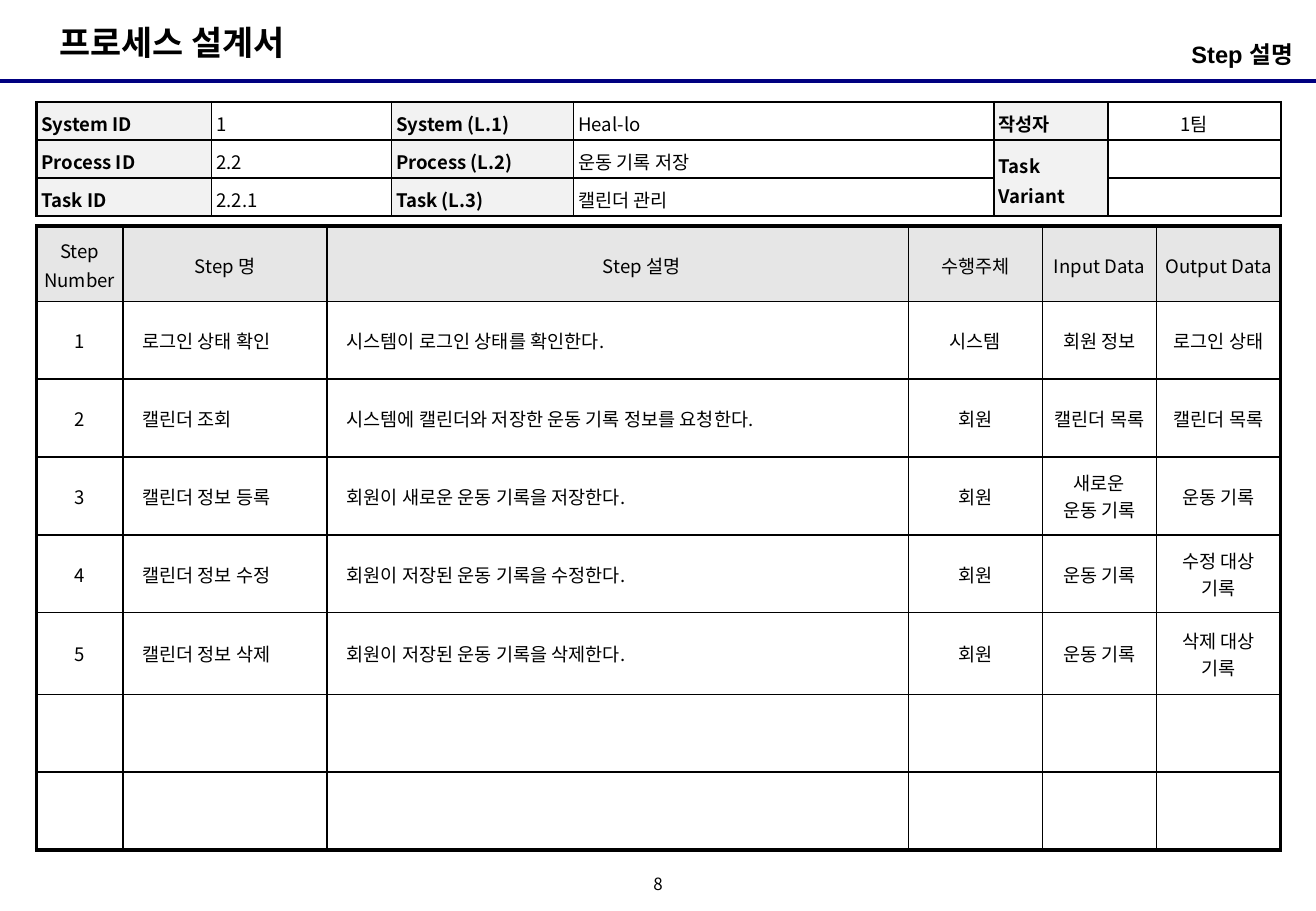
from lxml.etree import SubElement
from pptx import Presentation
from pptx.dml.color import RGBColor
from pptx.enum.shapes import MSO_CONNECTOR
from pptx.enum.text import MSO_ANCHOR as Anchor, PP_ALIGN as Align
from pptx.oxml.ns import qn
from pptx.util import Inches, Pt

BLACK = RGBColor(0x00, 0x00, 0x00)
NAVY = RGBColor(0x00, 0x00, 0x80)
LABEL_GREY = RGBColor(0xF2, 0xF2, 0xF2)
HEADER_GREY = RGBColor(0xE6, 0xE6, 0xE6)
KOREAN = "Noto Sans CJK KR"
WIDTH, HEIGHT = 10.83, 7.5
THIN = 1

SUMMARY_COLUMNS = [1.44, 1.48, 1.5, 3.46, 0.94, 1.42]
SUMMARY_ROWS = [1, 1, 1]
SUMMARY = [
    ["System ID", "1", "System (L.1)", "Heal-lo", "작성자", "1팀"],
    ["Process ID", "2.2", "Process (L.2)", "운동 기록 저장", "Task Variant", ""],
    ["Task ID", "2.2.1", "Task (L.3)", "캘린더 관리", "", ""],
]
STEP_COLUMNS = [0.71, 1.68, 4.78, 1.1, 0.94, 1.02]
STEP_ROWS = [0.62, 0.64, 0.64, 0.64, 0.64, 0.67, 0.64, 0.64]
STEPS = [
    ["Step Number", "Step 명", "Step 설명", "수행주체", "Input Data", "Output Data"],
    ["1", "로그인 상태 확인", "시스템이 로그인 상태를 확인한다.", "시스템", "회원 정보", "로그인 상태"],
    ["2", "캘린더 조회", "시스템에 캘린더와 저장한 운동 기록 정보를 요청한다.", "회원",
     "캘린더 목록", "캘린더 목록"],
    ["3", "캘린더 정보 등록", "회원이 새로운 운동 기록을 저장한다.", "회원",
     "새로운\n운동 기록", "운동 기록"],
    ["4", "캘린더 정보 수정", "회원이 저장된 운동 기록을 수정한다.", "회원",
     "운동 기록", "수정 대상 기록"],
    ["5", "캘린더 정보 삭제", "회원이 저장된 운동 기록을 삭제한다.", "회원",
     "운동 기록", "삭제 대상 기록"],
    [""] * 6,
    [""] * 6,
]


def format_text(text_frame, size, bold=False, align=Align.LEFT, spacing=1.0,
                indent=0, latin=KOREAN):
    """Format every paragraph and run of a text frame."""
    for paragraph in text_frame.paragraphs:
        properties = paragraph._p.get_or_add_pPr()
        properties.set("marL", str(Inches(indent)))
        properties.set("indent", "0")
        paragraph.alignment = align
        paragraph.line_spacing = spacing
        for run in paragraph.runs:
            run.font.size = Pt(size)
            run.font.bold = bold
            run.font.color.rgb = BLACK
            run.font.name = latin
            SubElement(run.font._element, qn("a:ea"), typeface=KOREAN)
        if not paragraph.runs:
            SubElement(paragraph._p, qn("a:endParaRPr"), sz=str(size * 100))


def add_label(slide, box, text, size, margins=(0.1, 0.05), anchor=Anchor.TOP,
              wrap=False, **style):
    """Add a text box with one formatted text."""
    text_frame = slide.shapes.add_textbox(*map(Inches, box)).text_frame
    text_frame.word_wrap = wrap
    text_frame.vertical_anchor = anchor
    text_frame.margin_left = text_frame.margin_right = Inches(margins[0])
    text_frame.margin_top = text_frame.margin_bottom = Inches(margins[1])
    text_frame.text = text
    format_text(text_frame, size, **style)


def set_borders(cell, **widths):
    """Draw the four black cell borders with widths in points."""
    properties = cell._tc.get_or_add_tcPr()
    for side in "LRTB":
        line = SubElement(properties, qn(f"a:ln{side}"), w=str(Pt(widths[side])))
        fill = SubElement(line, qn("a:solidFill"))
        SubElement(fill, qn("a:srgbClr"), val=str(BLACK))


def add_grid(slide, box, columns, rows, texts, outer, margins):
    """Add a framed table whose columns and rows share out the box."""
    left, top, width, height = box
    table = slide.shapes.add_table(len(rows), len(columns), *map(Inches, box)).table
    table.first_row = table.horz_banding = False
    for column, share in zip(table.columns, columns):
        column.width = Inches(width * share / sum(columns))
    for row, share in zip(table.rows, rows):
        row.height = Inches(height * share / sum(rows))
    for row, row_texts in enumerate(texts):
        for column, text in enumerate(row_texts):
            cell = table.cell(row, column)
            cell.text_frame.text = text
            cell.margin_left = cell.margin_right = Inches(margins[0])
            cell.margin_top = cell.margin_bottom = Inches(margins[1])
            author_rule = len(rows) == len(SUMMARY) and column >= 4
            set_borders(
                cell,
                L=outer if column == 0 else THIN,
                R=outer if column == len(columns) - 1 else THIN,
                T=outer if row == 0 or author_rule and row == 1 else THIN,
                B=outer if row == len(rows) - 1 or author_rule and row == 0 else THIN,
            )
            cell.fill.background()
    return table


def paint(cell, color):
    """Fill a cell with one colour."""
    cell.fill.solid()
    cell.fill.fore_color.rgb = color


def add_summary(slide, box):
    """Add the table of system, process and task identifiers."""
    table = add_grid(slide, box, SUMMARY_COLUMNS, SUMMARY_ROWS, SUMMARY, 1.5, (0.04, 0.03))
    for row in range(len(SUMMARY)):
        for column in range(len(SUMMARY_COLUMNS)):
            cell = table.cell(row, column)
            is_label = column % 2 == 0
            cell.vertical_anchor = Anchor.MIDDLE if column >= 4 else Anchor.TOP
            cell.margin_top = Inches(0.04)
            format_text(cell.text_frame, 11, bold=is_label, spacing=1.1,
                        align=Align.CENTER if column == 5 else Align.LEFT)
            if is_label:
                paint(cell, LABEL_GREY)
    table.cell(1, 4).merge(table.cell(2, 4))


def add_steps(slide, box):
    """Add the table that describes each step."""
    table = add_grid(slide, box, STEP_COLUMNS, STEP_ROWS, STEPS, 2.25, (0.06, 0.04))
    for row in range(len(STEPS)):
        for column in range(len(STEP_COLUMNS)):
            cell = table.cell(row, column)
            cell.vertical_anchor = Anchor.MIDDLE
            if row == 0:
                format_text(cell.text_frame, 11, align=Align.CENTER, spacing=1.1,
                            indent=0.39 if column == 2 else 0)
                paint(cell, HEADER_GREY)
            elif column in (1, 2):
                format_text(cell.text_frame, 11, indent=0.1)
            else:
                format_text(cell.text_frame, 11, align=Align.CENTER)


def add_heading(slide, box):
    """Add the document title, the section name and the rule below them."""
    left, top, width, height = box
    bottom = top + height
    rule = slide.shapes.add_connector(
        MSO_CONNECTOR.STRAIGHT, *map(Inches, (left, bottom, left + width, bottom)))
    rule.line.color.rgb = NAVY
    rule.line.width = Pt(2.25)
    SubElement(rule._element.spPr, qn("a:effectLst"))
    add_label(slide, (left + 0.39, top + 0.13, 2.26, 0.44), "프로세스 설계서", 20, bold=True)
    add_label(slide, (left + width - 3.44, bottom - 0.39, 3.25, 0.39), "Step 설명", 14,
              margins=(0, 0.05), wrap=True, bold=True, align=Align.RIGHT, latin="Arial")


def main():
    """Build and save the step description slide."""
    presentation = Presentation()
    presentation.slide_width = Inches(WIDTH)
    presentation.slide_height = Inches(HEIGHT)
    slide = presentation.slides.add_slide(presentation.slide_layouts[6])
    add_heading(slide, (0, 0, WIDTH, 0.67))
    add_summary(slide, (0.3, 0.84, 10.24, 0.94))
    add_steps(slide, (0.3, 1.86, 10.24, 5.14))
    add_label(slide, (5.25, 7.17, 0.33, 0.25), "8", 10, margins=(0, 0),
              anchor=Anchor.MIDDLE, align=Align.CENTER, spacing=0.8)
    presentation.save("out.pptx")


if __name__ == "__main__":
    main()
